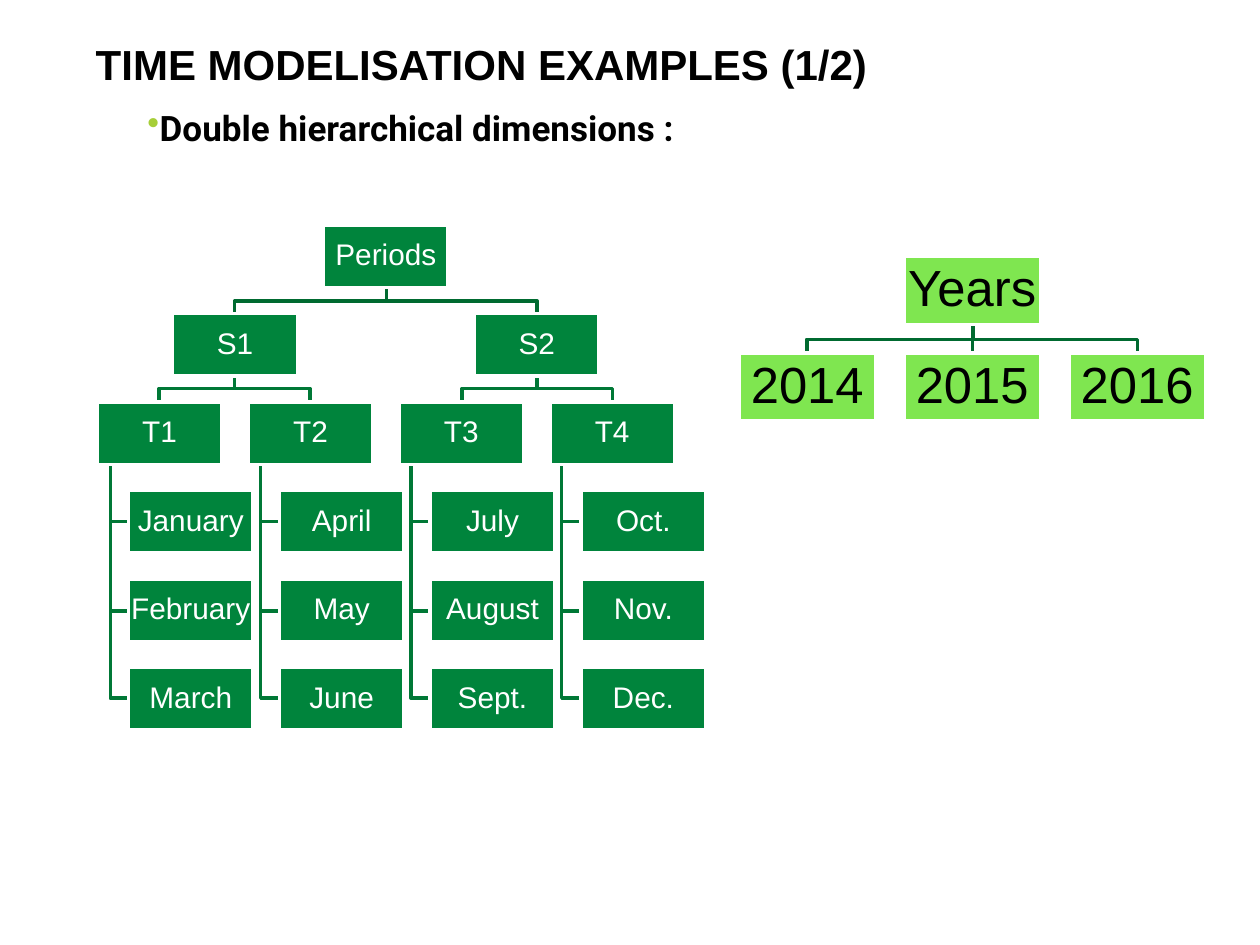
"""Build the slide that shows two time hierarchies as box trees."""
from dataclasses import dataclass

from lxml.etree import SubElement
from pptx import Presentation
from pptx.dml.color import RGBColor
from pptx.enum.shapes import MSO_CONNECTOR, MSO_SHAPE
from pptx.enum.text import MSO_ANCHOR, PP_ALIGN
from pptx.oxml.ns import qn
from pptx.util import Pt


@dataclass
class Node:
    name: str
    children: tuple["Node", ...] = ()
    column: float = 0
    row: int = 0


@dataclass(frozen=True)
class TreeStyle:
    left: float
    top: float
    width: float
    fill: str
    text: str
    size: float

    @property
    def height(self) -> float:
        return self.width / 2

    def corner(self, node: Node) -> tuple[float, float]:
        return (self.left + node.column * self.width,
                self.top + node.row * 0.71 * self.width)


COLUMN_STEP = 1.21
HANGING_INDENT = 0.25
STEM_INSET = 0.1
TRUNK_COLOR = "006A30"
BRANCH_COLOR = "007836"
QUARTERS = {
    "T1": ("January", "February", "March"),
    "T2": ("April", "May", "June"),
    "T3": ("July", "August", "Sept."),
    "T4": ("Oct.", "Nov.", "Dec."),
}


def color(value: str) -> RGBColor:
    return RGBColor.from_string(value)


def hangs(node: Node) -> bool:
    return node.name in QUARTERS


def arrange(node: Node, column: float = 0, row: int = 0) -> float:
    """Place a node and its descendants, and return the next free column."""
    node.row = row
    if hangs(node) or not node.children:
        node.column = column
        for offset, child in enumerate(node.children, start=1):
            arrange(child, column + HANGING_INDENT, row + offset)
        return column + COLUMN_STEP
    for child in node.children:
        column = arrange(child, column, row + 1)
    node.column = (node.children[0].column + node.children[-1].column) / 2
    return column


def walk(node: Node) -> list[Node]:
    return [node] + [below for child in node.children for below in walk(child)]


def format_line(shape, line_color: str) -> None:
    shape.line.color.rgb = color(line_color)
    shape.line.width = Pt(2)


def draw_bent_line(shapes, points: list[tuple[float, float]], line_color: str) -> None:
    builder = shapes.build_freeform(*points[0], scale=Pt(1))
    builder.add_line_segments(points[1:], close=False)
    line = builder.convert_to_shape()
    line.shadow.inherit = False
    line.fill.background()
    format_line(line, line_color)


def draw_straight_line(shapes, start: tuple[float, float], end: tuple[float, float],
                       line_color: str):
    line = shapes.add_connector(MSO_CONNECTOR.STRAIGHT, *map(Pt, start + end))
    SubElement(line._element.spPr, qn("a:effectLst"))
    format_line(line, line_color)
    return line


def draw_link(shapes, style: TreeStyle, parent: Node, child: Node):
    """Draw one branch, and return it when it is a straight connector."""
    left, top = style.corner(parent)
    child_left, child_top = style.corner(child)
    bottom = top + style.height
    line_color = BRANCH_COLOR if parent.row else TRUNK_COLOR
    if hangs(parent):
        stem = left + STEM_INSET * style.width
        middle = child_top + style.height / 2
        draw_bent_line(shapes, [(stem, bottom), (stem, middle), (child_left, middle)], line_color)
        return None
    start, end = left + style.width / 2, child_left + style.width / 2
    if abs(start - end) < 0.01:
        return draw_straight_line(shapes, (start, bottom), (end, child_top), line_color)
    bend = (bottom + child_top) / 2
    draw_bent_line(shapes, [(start, bottom), (start, bend), (end, bend), (end, child_top)],
                   line_color)
    return None


def draw_box(shapes, style: TreeStyle, node: Node):
    left, top = style.corner(node)
    box = shapes.add_shape(MSO_SHAPE.RECTANGLE, Pt(left), Pt(top),
                           Pt(style.width), Pt(style.height))
    box.shadow.inherit = False
    box.fill.solid()
    box.fill.fore_color.rgb = color(style.fill)
    format_line(box, "FFFFFF")
    write_text(box.text_frame, node.name, "Arial", style.size, style.text)
    box.text_frame.word_wrap = False
    box.text_frame.vertical_anchor = MSO_ANCHOR.MIDDLE
    box.text_frame.paragraphs[0].alignment = PP_ALIGN.CENTER
    return box


def draw_tree(page, style: TreeStyle, root: Node) -> None:
    arrange(root)
    shapes = page.shapes.add_group_shape().shapes
    nodes = walk(root)
    links = [(draw_link(shapes, style, parent, child), parent, child)
             for parent in nodes for child in parent.children]
    boxes = {id(node): draw_box(shapes, style, node) for node in nodes}
    for line, parent, child in links:
        if line is not None:
            line.begin_connect(boxes[id(parent)], 2)
            line.end_connect(boxes[id(child)], 0)


def write_text(frame, text: str, font: str, size: float, text_color: str,
               bold: bool = False, spacing: float = 0.9) -> None:
    frame.margin_left = frame.margin_right = frame.margin_top = frame.margin_bottom = Pt(0)
    frame.word_wrap = True
    frame.text = text
    para = frame.paragraphs[0]
    para.line_spacing = spacing
    para.font.name = font
    para.font.size = Pt(size)
    para.font.bold = bold
    para.font.color.rgb = color(text_color)


def add_title(page) -> None:
    title = page.shapes.title
    title.left, title.top, title.width, title.height = Pt(54.7), Pt(25.2), Pt(632.9), Pt(31.7)
    write_text(title.text_frame, "TIME MODELISATION EXAMPLES (1/2)", "Arial", 24, "000000", True)
    title.text_frame.vertical_anchor = MSO_ANCHOR.TOP
    title.text_frame.paragraphs[0].alignment = PP_ALIGN.LEFT


def add_subject(page) -> None:
    box = page.shapes.add_textbox(Pt(54), Pt(65.5), Pt(628.6), Pt(226.8))
    write_text(box.text_frame, "Double hierarchical dimensions :", "Roboto", 20, "000000",
               True, 0.8)
    properties = box.text_frame.paragraphs[0]._p.get_or_add_pPr()
    properties.set("marL", "0")
    properties.set("indent", str(Pt(30.2)))
    bullet_color = SubElement(properties, qn("a:buClr"))
    SubElement(bullet_color, qn("a:srgbClr"), val="A6CE38")
    SubElement(properties, qn("a:buChar"), char="•")
    properties.append(properties.find(qn("a:defRPr")))


def main() -> None:
    deck = Presentation()
    deck.slide_width, deck.slide_height = Pt(720), Pt(540)
    page = deck.slides.add_slide(deck.slide_layouts[5])
    add_title(page)
    add_subject(page)
    quarters = [Node(name, tuple(map(Node, months))) for name, months in QUARTERS.items()]
    semesters = (Node("S1", tuple(quarters[:2])), Node("S2", tuple(quarters[2:])))
    draw_tree(page, TreeStyle(55.6, 128.6, 71.24, "00843C", "FFFFFF", 17),
              Node("Periods", semesters))
    draw_tree(page, TreeStyle(422.4, 146.4, 77.9, "7FE650", "000000", 29),
              Node("Years", tuple(map(Node, ("2014", "2015", "2016")))))
    deck.save("out.pptx")


if __name__ == "__main__":
    main()
